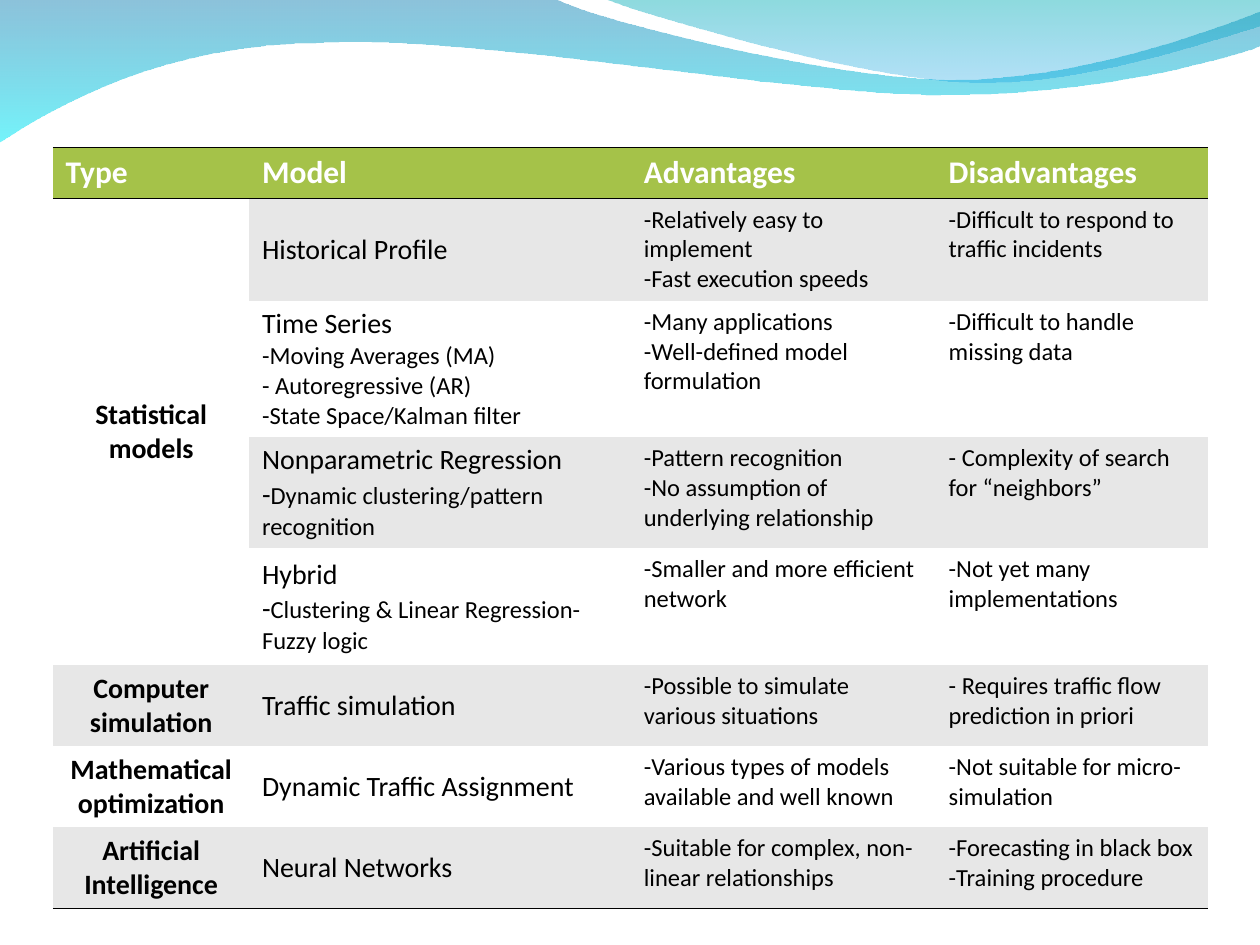
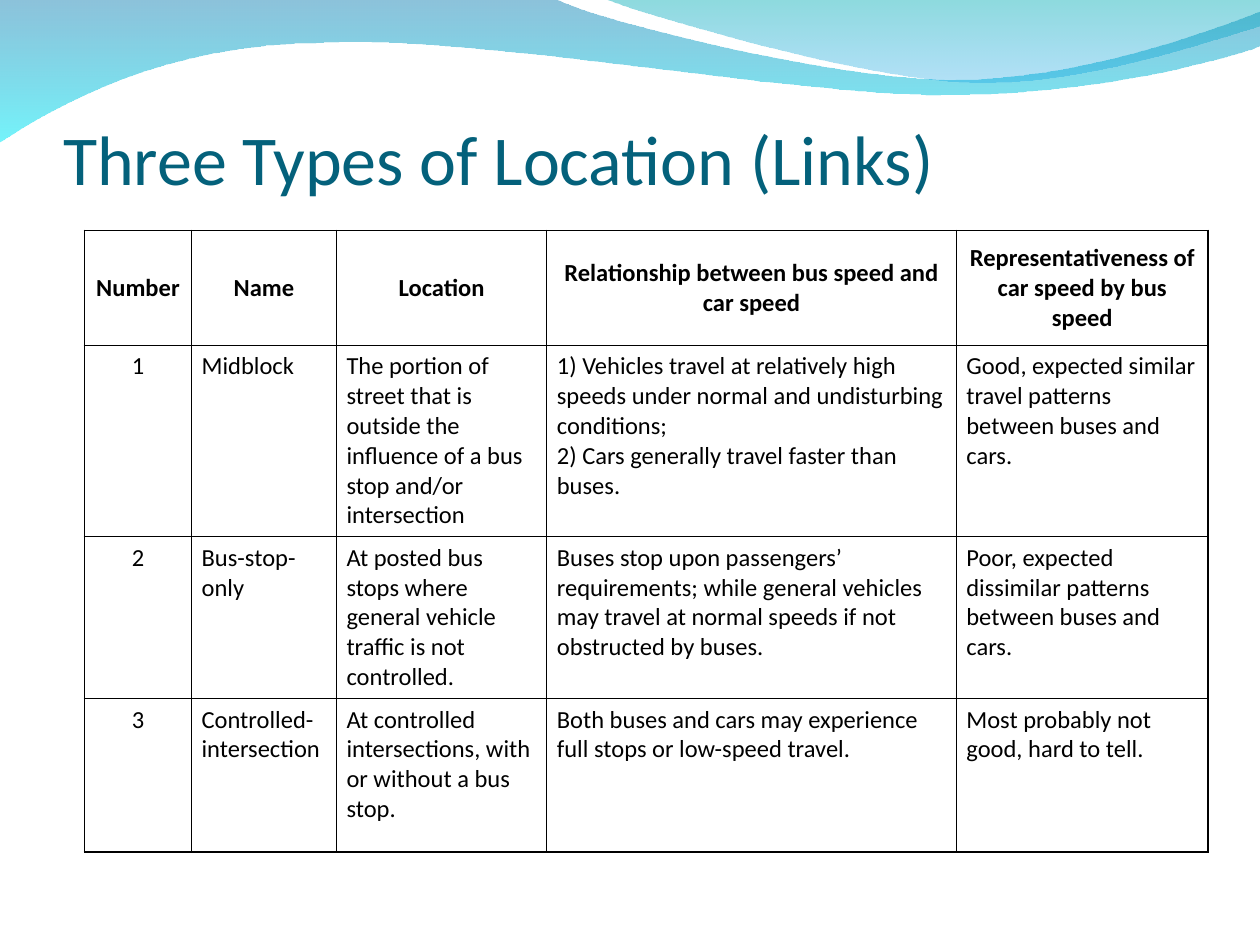
from dataclasses import dataclass

from lxml.etree import SubElement
from pptx import Presentation
from pptx.dml.color import RGBColor
from pptx.enum.text import MSO_ANCHOR, MSO_AUTO_SIZE, PP_ALIGN
from pptx.oxml.ns import qn
from pptx.presentation import Presentation as Deck
from pptx.slide import Slide
from pptx.table import Table, _Cell
from pptx.util import Inches, Pt

FONT = "Calibri"
NO_STYLE = "{2D5ABB26-0587-4C30-8999-92F81FD0307C}"
COLORS = {
    "black": "000000",
    "white": "FFFFFF",
    "header": "A5C249",
    "band": "E7E7E7",
    "title": "04617B",
}
Point = tuple[float, float]


@dataclass
class Stop:
    color: str
    alpha: int


@dataclass
class Wave:
    """Each step is one point (a line) or three points (a Bezier curve)."""
    start: Point
    steps: list[tuple[Point, ...]]
    stops: tuple[Stop, Stop]


@dataclass
class Grid:
    left: float
    top: float
    cols: list[float]
    rows: list[float]
    margin_x: float


@dataclass
class Line:
    text: str
    size: int = 14
    lead: str = ""  # set at 16 pt in front of the text


@dataclass
class ModelRow:
    kind: str
    model: list[Line]
    pros: list[str]
    cons: list[str]


WAVES = [
    Wave((0, -0.01), [
        ((4.4, -0.01),),
        ((4.76, 0.17), (6.64, 0.63), (7.58, 0.63)),
        ((8.53, 0.63), (9.58, 0.26), (10, 0.09)),
        ((10.01, 0.36),),
        ((9.83, 0.44), (8.7, 0.76), (7.46, 0.75)),
        ((6.22, 0.75), (3.82, 0.28), (2.57, 0.34)),
        ((1.29, 0.35), (0.46, 0.83), (-0.01, 1.13)),
        ((0, -0.01),),
    ], (Stop("0079AF", 45), Stop("00EBF8", 55))),
    Wave((4.79, -0.01), [
        ((5.09, 0.11), (6.82, 0.62), (7.69, 0.65)),
        ((8.56, 0.69), (9.61, 0.32), (10, 0.21)),
        ((10, 0),),
        ((4.79, -0.01),),
    ], (Stop("00ADB6", 45), Stop("009BE5", 30))),
]

MODEL_GRID = Grid(0.42, 1.17, [1.56, 3.03, 2.42, 2.16],
                  [0.4, 0.8, 1.07, 0.87, 0.93, 0.63, 0.63, 0.63], 0.1)
MODEL_HEADERS = ["Type", "Model", "Advantages", "Disadvantages"]
MODEL_ROWS = [
    ModelRow("Statistical models", [Line("Historical Profile", 16)],
             ["-Relatively easy to implement", "-Fast execution speeds"],
             ["-Difficult to respond to traffic incidents"]),
    ModelRow("", [Line("Time Series", 16), Line("-Moving Averages (MA)"),
                  Line("- Autoregressive (AR)"), Line("-State Space/Kalman filter")],
             ["-Many applications", "-Well-defined model formulation"],
             ["-Difficult to handle missing data"]),
    ModelRow("", [Line("Nonparametric Regression", 16),
                  Line("Dynamic clustering/pattern recognition", lead="-")],
             ["-Pattern recognition", "-No assumption of underlying relationship"],
             ["- Complexity of search for “neighbors”"]),
    ModelRow("", [Line("Hybrid", 16),
                  Line("Clustering & Linear Regression-Fuzzy logic", lead="-")],
             ["-Smaller and more efficient network"],
             ["-Not yet many implementations"]),
    ModelRow("Computer simulation", [Line("Traffic simulation", 16)],
             ["-Possible to simulate various situations"],
             ["- Requires traffic flow prediction in priori"]),
    ModelRow("Mathematical optimization", [Line("Dynamic Traffic Assignment", 16)],
             ["-Various types of models available and well known"],
             ["-Not suitable for micro-simulation"]),
    ModelRow("Artificial Intelligence", [Line("Neural Networks", 16)],
             ["-Suitable for complex, non-linear relationships"],
             ["-Forecasting in black box", "-Training procedure"]),
]
STATISTICAL_ROWS = 4

LOCATION_GRID = Grid(0.67, 1.83, [0.85, 1.15, 1.67, 3.25, 2],
                     [0.91, 1.52, 1.22, 1.22], 0.08)
LOCATION_ROWS = [
    [["Number"], ["Name"], ["Location"],
     ["Relationship between bus speed and car speed"],
     ["Representativeness of car speed by bus speed"]],
    [["1"], ["Midblock"],
     ["The portion of street that is outside the influence of a bus stop and/or intersection"],
     ["1) Vehicles travel at relatively high speeds under normal and undisturbing conditions;",
      "2) Cars generally travel faster than buses."],
     ["Good, expected similar travel patterns between buses and cars."]],
    [["2"], ["Bus-stop-only"],
     ["At posted bus stops where general vehicle traffic is not controlled."],
     ["Buses stop upon passengers’ requirements; while general vehicles may travel "
      "at normal speeds if not obstructed by buses."],
     ["Poor, expected dissimilar patterns between buses and cars."]],
    [["3"], ["Controlled- intersection"],
     ["At controlled intersections, with or without a bus stop."],
     ["Both buses and cars may experience full stops or low-speed travel."],
     ["Most probably not good, hard to tell."]],
]


def rgb(name: str) -> RGBColor:
    return RGBColor.from_string(COLORS[name])


def add_wave(prs: Deck, slide: Slide, wave: Wave, position: int) -> None:
    """Draw a wave on the slide, then move it to the back of the master."""
    points = [(Inches(x), Inches(y)) for step in wave.steps for x, y in step]
    builder = slide.shapes.build_freeform(*(Inches(v) for v in wave.start))
    builder.add_line_segments(points, close=True)
    sp = builder.convert_to_shape()
    segments = iter(list(sp.element.iter(qn("a:lnTo"))))
    for step in wave.steps:
        first, *others = [next(segments) for _ in step]
        if others:
            first.tag = qn("a:cubicBezTo")
            for segment in others:
                first.append(segment[0])
                segment.getparent().remove(segment)
    sp.shadow.inherit = False
    sp.line.fill.background()
    sp.fill.gradient()
    sp.fill.gradient_angle = 270
    for i, (target, stop) in enumerate(zip(sp.fill.gradient_stops, wave.stops)):
        target.position = i
        target.color.rgb = RGBColor.from_string(stop.color)
    for clr, stop in zip(sp.element.iter(qn("a:srgbClr")), wave.stops):
        SubElement(clr, qn("a:alpha"), val=str(stop.alpha * 1000))
    prs.slide_master.shapes.element.insert(2 + position, sp.element)


def add_grid(slide: Slide, grid: Grid) -> Table:
    frame = slide.shapes.add_table(
        len(grid.rows), len(grid.cols), Inches(grid.left), Inches(grid.top),
        Inches(sum(grid.cols)), Inches(sum(grid.rows)))
    table = frame.table
    table.first_row = table.horz_banding = False
    next(frame.element.iter(qn("a:tableStyleId"))).text = NO_STYLE
    for column, width in zip(table.columns, grid.cols):
        column.width = Inches(width)
    for row, height in zip(table.rows, grid.rows):
        row.height = Inches(height)
    for cell in table.iter_cells():
        cell.margin_left = cell.margin_right = Inches(grid.margin_x)
        cell.margin_top = cell.margin_bottom = Inches(0.05)
    return table


def set_borders(cell: _Cell, **widths: float) -> None:
    """Black borders in points, by side (L, R, T, B); 0 is none. Call before filling."""
    tc_pr = cell._tc.get_or_add_tcPr()
    for side in "LRTB":
        if side not in widths:
            continue
        ln = SubElement(tc_pr, qn(f"a:ln{side}"), w=str(Pt(widths[side])))
        if widths[side]:
            fill = SubElement(ln, qn("a:solidFill"))
            SubElement(fill, qn("a:srgbClr"), val=COLORS["black"])
        else:
            SubElement(ln, qn("a:noFill"))


def write(cell: _Cell, lines: list[Line], color: str = "black", bold: bool = False,
          align: PP_ALIGN = PP_ALIGN.LEFT, anchor: MSO_ANCHOR = MSO_ANCHOR.TOP) -> None:
    cell.vertical_anchor = anchor
    tf = cell.text_frame
    for i, line in enumerate(lines):
        p = tf.paragraphs[0] if i == 0 else tf.add_paragraph()
        p.alignment = align
        if line.lead:
            r = p.add_run()
            r.text = line.lead
            r.font.size = Pt(16)
        p.add_run().text = line.text
        p.font.name = FONT
        p.font.size = Pt(line.size)
        p.font.bold = bold
        p.font.color.rgb = rgb(color)


def build_models(slide: Slide) -> None:
    table = add_grid(slide, MODEL_GRID)
    last = len(MODEL_GRID.rows) - 1
    rule = 0.96
    for r in range(last + 1):
        for c in range(len(MODEL_GRID.cols)):
            cell = table.cell(r, c)
            bottom = rule if r in (0, last) else 0
            if r == 1:
                set_borders(cell, B=bottom)
            else:
                set_borders(cell, T=0 if r else rule, B=bottom)
            cell.fill.solid()
            banded = r % 2 and (c > 0 or r > STATISTICAL_ROWS)
            cell.fill.fore_color.rgb = rgb("header" if r == 0 else "band" if banded else "white")
    table.cell(1, 0).merge(table.cell(STATISTICAL_ROWS, 0))
    for c, header in enumerate(MODEL_HEADERS):
        write(table.cell(0, c), [Line(header, 18)], "white", bold=True)
    for r, row in enumerate(MODEL_ROWS, start=1):
        if row.kind:
            write(table.cell(r, 0), [Line(row.kind, 16)], bold=True,
                  align=PP_ALIGN.CENTER, anchor=MSO_ANCHOR.MIDDLE)
        write(table.cell(r, 1), row.model, anchor=MSO_ANCHOR.MIDDLE)
        write(table.cell(r, 2), [Line(text) for text in row.pros])
        write(table.cell(r, 3), [Line(text) for text in row.cons])


def set_title(slide: Slide, text: str) -> None:
    title = slide.shapes.title
    title.left, title.top = Inches(0.5), Inches(0.77)
    title.width, title.height = Inches(9), Inches(0.81)
    tf = title.text_frame
    tf.text = text
    tf.auto_size = MSO_AUTO_SIZE.NONE
    tf.vertical_anchor = MSO_ANCHOR.BOTTOM
    tf.margin_left = tf.margin_right = tf.margin_bottom = 0
    tf.margin_top = Inches(0.05)
    p = tf.paragraphs[0]
    p.alignment = PP_ALIGN.LEFT
    p.font.name = FONT
    p.font.size = Pt(40)
    p.font.color.rgb = rgb("title")


def build_locations(slide: Slide) -> None:
    set_title(slide, "Three Types of Location (Links)")
    table = add_grid(slide, LOCATION_GRID)
    outer, inner = 1.08, 0.45
    last_row, last_col = len(LOCATION_GRID.rows) - 1, len(LOCATION_GRID.cols) - 1
    for r, row in enumerate(LOCATION_ROWS):
        for c, texts in enumerate(row):
            cell = table.cell(r, c)
            set_borders(cell, L=outer if c == 0 else inner,
                        R=outer if c == last_col else inner,
                        T=outer if r == 0 else inner,
                        B=outer if r == last_row else inner)
            cell.fill.background()
            write(cell, [Line(text) for text in texts], bold=r == 0,
                  align=PP_ALIGN.CENTER if r == 0 or c == 0 else PP_ALIGN.LEFT,
                  anchor=MSO_ANCHOR.MIDDLE if r == 0 else MSO_ANCHOR.TOP)


def main() -> None:
    prs = Presentation()
    prs.slide_width, prs.slide_height = Inches(10), Inches(7.5)
    models = prs.slides.add_slide(prs.slide_layouts[6])
    for i, wave in enumerate(WAVES):
        add_wave(prs, models, wave, i)
    build_models(models)
    build_locations(prs.slides.add_slide(prs.slide_layouts[5]))
    prs.save("out.pptx")


if __name__ == "__main__":
    main()
